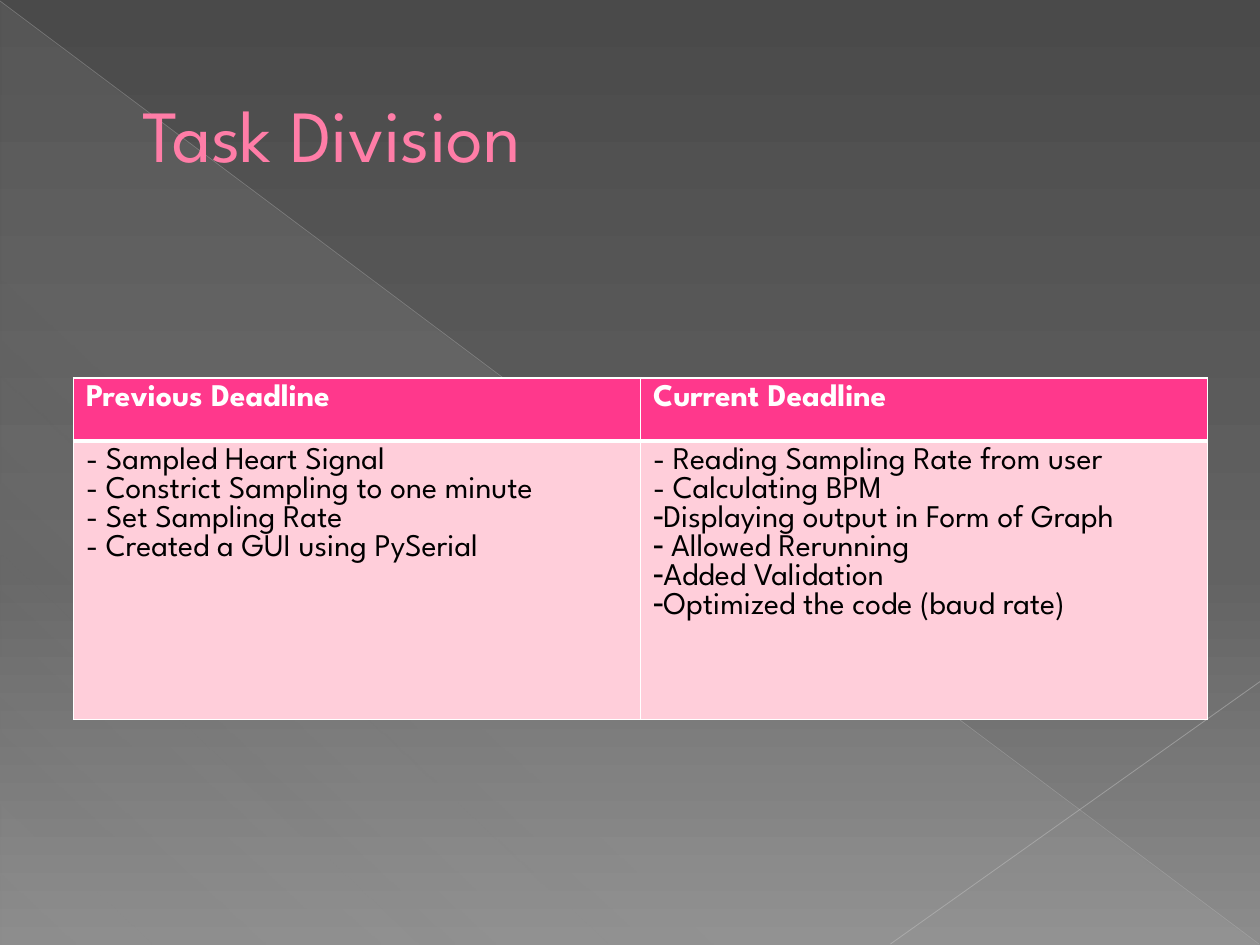
from lxml import etree
from pptx import Presentation
from pptx.dml.color import RGBColor
from pptx.enum.shapes import MSO_CONNECTOR, MSO_SHAPE
from pptx.enum.text import MSO_ANCHOR, PP_ALIGN
from pptx.oxml.ns import qn
from pptx.util import Cm, Pt

STRAIGHT = MSO_CONNECTOR.STRAIGHT
RIGHT_TRIANGLE = MSO_SHAPE.RIGHT_TRIANGLE
MIDDLE = MSO_ANCHOR.MIDDLE
LEFT = PP_ALIGN.LEFT

COLORS = {
    "top": "4A4A4A", "mid": "626262", "bottom": "8C8C8C",
    "sheen": "D2D2D2", "diagonal": "BFBFBF", "corner": "C6C6C6",
    "title": "FF7DA7", "title_edge": "B12761",
    "header": "FF388C", "body": "FFCEDA",
    "white": "FFFFFF", "black": "000000",
}

PREVIOUS = [
    "- Sampled Heart Signal",
    "- Constrict Sampling to one minute",
    "- Set Sampling Rate",
    "- Created a GUI using PySerial",
]
CURRENT = ["- Reading Sampling Rate from user", "- Calculating BPM"]
CURRENT_BULLETED = [
    "Displaying output in Form of Graph",
    " Allowed Rerunning",
    "Added Validation",
    "Optimized the code (baud rate)",
]


def add_color(parent, color, alpha=100):
    node = etree.SubElement(parent, qn("a:srgbClr"), val=COLORS[color])
    if alpha < 100:
        etree.SubElement(node, qn("a:alpha"), val=str(alpha * 1000))


class DeckSlide:
    font = "League Spartan"

    def __init__(self, deck):
        self.slide = deck.slides.add_slide(deck.slide_layouts[5])
        self.shapes = self.slide.shapes

    def gradient(self, fill, owner, stops, clockwise):
        fill.gradient()
        fill.gradient_angle = 360 - clockwise
        stop_list = owner.find(".//" + qn("a:gsLst"))
        for old_stop in list(stop_list):
            stop_list.remove(old_stop)
        for position, color, alpha in stops:
            stop = etree.SubElement(stop_list, qn("a:gs"), pos=str(position * 1000))
            add_color(stop, color, alpha)

    def background(self, stops, clockwise):
        self.gradient(self.slide.background.fill, self.slide.element, stops, clockwise)

    def triangle(self, left, top, width, height, stops, clockwise):
        sheen = self.shapes.add_shape(
            RIGHT_TRIANGLE, Cm(left), Cm(top), Cm(width), Cm(height))
        sheen.shadow.inherit = False
        sheen.line.fill.background()
        self.gradient(sheen.fill, sheen.element, stops, clockwise)

    def line(self, start, end, color, width, alpha):
        ray = self.shapes.add_connector(
            STRAIGHT, *(Cm(value) for value in (*start, *end)))
        ray.line.width = Pt(width)
        ray.line.color.rgb = RGBColor.from_string(COLORS[color])
        tint = ray.element.spPr.find(".//" + qn("a:srgbClr"))
        etree.SubElement(tint, qn("a:alpha"), val=str(alpha * 1000))
        etree.SubElement(ray.element.spPr, qn("a:effectLst"))

    def run(self, paragraph, text, size, color, bold=False):
        run = paragraph.add_run()
        run.text = text
        run.font.name = self.font
        run.font.size = Pt(size)
        run.font.bold = bold
        run.font.color.rgb = RGBColor.from_string(COLORS[color])
        return run

    def title(self, text, left, top, width, height, indent):
        heading = self.shapes.title
        heading.left, heading.top = Cm(left), Cm(top)
        heading.width, heading.height = Cm(width), Cm(height)
        frame = heading.text_frame
        frame.word_wrap = True
        frame.vertical_anchor = MIDDLE
        paragraph = frame.paragraphs[0]
        paragraph.alignment = LEFT
        properties = paragraph._p.get_or_add_pPr()
        properties.set("marL", str(Cm(indent)))
        properties.set("indent", "0")
        run = self.run(paragraph, text, 42, "title")
        edge = etree.Element(qn("a:ln"), w=str(Pt(0.5)))
        add_color(etree.SubElement(edge, qn("a:solidFill")), "title_edge")
        run.font._element.insert(0, edge)
        heading.element.getparent().append(heading.element)

    def table(self, left, top, columns, rows):
        frame = self.shapes.add_table(
            len(rows), len(columns), Cm(left), Cm(top),
            Cm(sum(columns)), Cm(sum(rows)))
        grid = frame.table
        for column, width in zip(grid.columns, columns):
            column.width = Cm(width)
        for row, height in zip(grid.rows, rows):
            row.height = Cm(height)
        return grid

    def cell(self, cell, lines, fill, color, bold, borders):
        cell.fill.solid()
        cell.fill.fore_color.rgb = RGBColor.from_string(COLORS[fill])
        properties = cell._tc.get_or_add_tcPr()
        for index, (side, width) in enumerate(zip("LRTB", borders)):
            edge = etree.Element(qn("a:ln" + side), w=str(Pt(width)))
            add_color(etree.SubElement(edge, qn("a:solidFill")), "white")
            properties.insert(index, edge)
        for index, (text, bulleted) in enumerate(lines):
            frame = cell.text_frame
            paragraph = frame.add_paragraph() if index else frame.paragraphs[0]
            if bulleted:
                bullet_owner = paragraph._p.get_or_add_pPr()
                bullet_owner.set("marL", "0")
                bullet_owner.set("indent", "0")
                etree.SubElement(bullet_owner, qn("a:buChar"), char="-")
            self.run(paragraph, text, 18, color, bold)


def main():
    deck = Presentation()
    deck.slide_width, deck.slide_height = Cm(25.4), Cm(19.05)
    page = DeckSlide(deck)

    page.background([(0, "top", 100), (60, "mid", 100), (100, "bottom", 100)], 90)
    page.triangle(0.02, 0.04, 25.36, 19,
                  [(0, "sheen", 10), (70, "sheen", 8), (100, "sheen", 1)], 133)
    page.line((0, 0.02), (25.38, 19.03), "diagonal", 0.39, 35)
    page.line((25.4, 13.74), (17.95, 19.03), "corner", 0.47, 45)
    page.title("Task Division", 1.27, 0.74, 22.86, 3.89, 1.35)

    tasks = page.table(1.48, 7.62, [11.43, 11.43], [1.27, 5.61])
    deadlines = [
        ("Previous Deadline", [(task, False) for task in PREVIOUS]),
        ("Current Deadline", [(task, False) for task in CURRENT]
         + [(task, True) for task in CURRENT_BULLETED]),
    ]
    for column, (deadline, lines) in enumerate(deadlines):
        page.cell(tasks.cell(0, column), [(deadline, False)],
                  "header", "white", True, (1, 1, 1, 3))
        page.cell(tasks.cell(1, column), lines,
                  "body", "black", False, (1, 1, 3, 1))

    deck.save("out.pptx")


if __name__ == "__main__":
    main()
